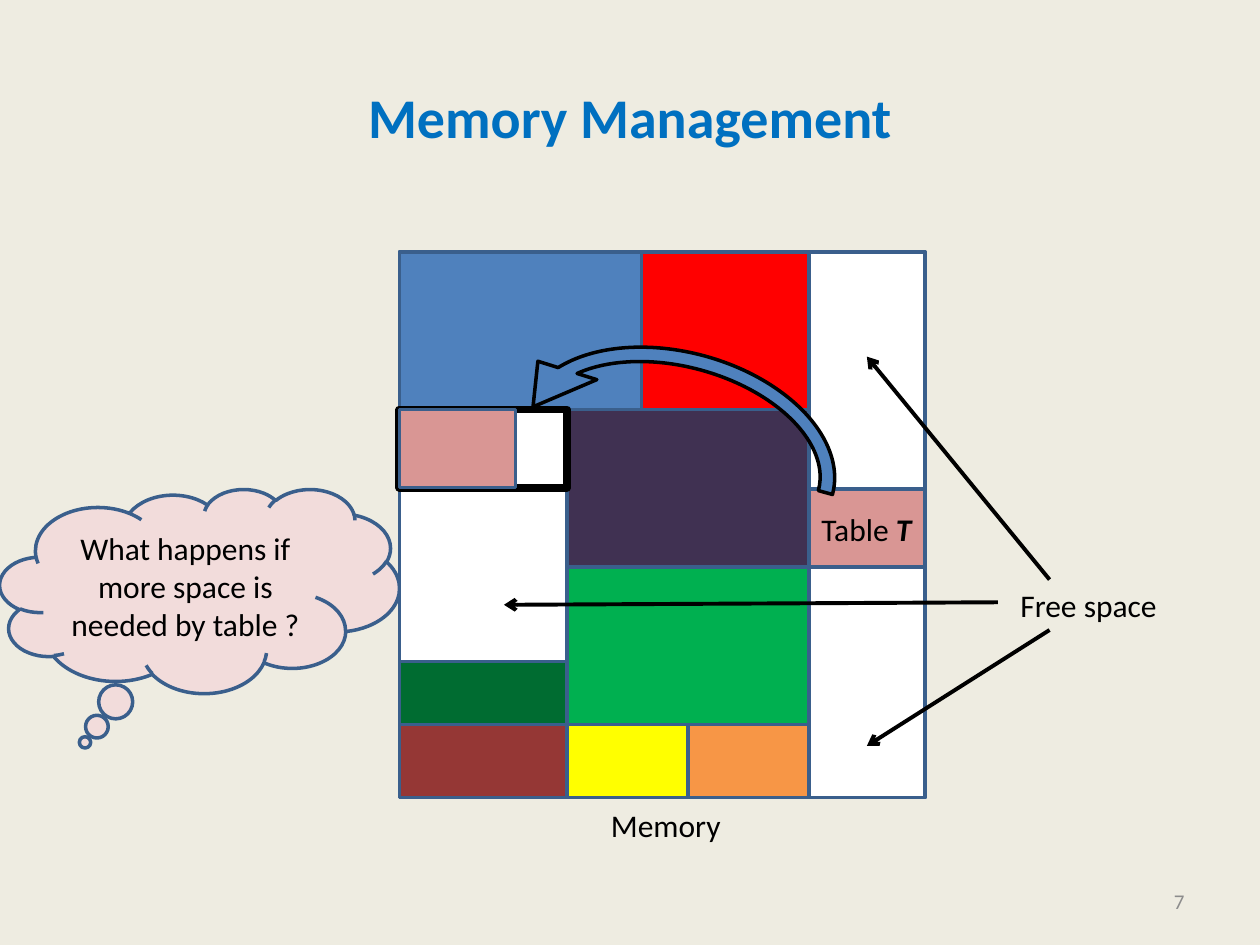
from lxml.etree import SubElement as Sub
from pptx import Presentation
from pptx.dml.color import RGBColor
from pptx.enum.shapes import MSO_CONNECTOR as Wire, MSO_SHAPE as Kind
from pptx.enum.text import MSO_ANCHOR as Anchor, PP_ALIGN as Align
from pptx.oxml.ns import qn
from pptx.util import Inches, Pt

EDGE, INK, PINK = "3A5F8C", "000000", "D99694"


def tint(part, code):
    if hasattr(part, "solid"):
        part.solid()
        part = part.fore_color
    part.rgb = RGBColor.from_string(code)


def put(item, vals):
    for name, val in vals.items():
        setattr(item, name, val)


def span(*vals):
    return [Inches(v) for v in vals]


def write(frame, runs, size=18, code=INK, align=Align.LEFT, anchor=Anchor.TOP, wrap=True):
    put(frame, {"word_wrap": wrap, "vertical_anchor": anchor})
    para = frame.paragraphs[0]
    para.alignment = align
    for text, look in runs:
        run = para.add_run()
        run.text = text
        put(run.font, {"name": "Calibri", "size": Pt(size), **look})
        tint(run.font.color, code)


def label(shapes, box, runs, **look):
    write(shapes.add_textbox(*span(*box)).text_frame, runs, **look)


def block(shapes, kind, box, fill, edge=EDGE, width=2):
    shape = shapes.add_shape(kind, *span(*box))
    shape.shadow.inherit = False
    tint(shape.fill, fill)
    tint(shape.line.fill, edge)
    shape.line.width = Pt(width)
    return shape


def adjust(shape, vals):
    for i, val in enumerate(vals):
        shape.adjustments[i] = val


def arrow(shapes, start, end):
    wire = shapes.add_connector(Wire.STRAIGHT, *span(*start, *end))
    tint(wire.line.fill, INK)
    wire.line.width = Pt(2.25)
    props = wire._element.spPr
    Sub(props.find(qn("a:ln")), qn("a:tailEnd"), type="arrow")
    Sub(props, qn("a:effectLst"))


def title(slide, box):
    head = slide.shapes.title
    put(head, dict(zip(("left", "top", "width", "height"), span(*box))))
    write(head.text_frame, [("Memory Management", {"bold": True})], size=32,
          code="0070C0", align=Align.CENTER, anchor=Anchor.MIDDLE)


def cloud(shapes, box):
    shape = block(shapes, Kind.CLOUD_CALLOUT, box, "F2DCDB")
    adjust(shape, (-0.287, 0.742))
    write(shape.text_frame, [("What happens if more space is needed by table ?", {})],
          align=Align.CENTER, anchor=Anchor.MIDDLE)


def memory(shapes, box):
    x, y, w, h = box
    a, b, c, d = 1.33, 1.92, 3.25, w
    cells = [
        (0, 0, d, h, "F79646"),
        (0, 0, b, 1.25, "4F81BD"),
        (0, 1.25, a, 3.25, "FFFFFF"),
        (b, 0, c, 1.25, "FF0000"),
        (a, 1.25, c, 2.5, "403152"),
        (a, 2.5, c, 3.75, "00B050"),
        (0, 3.75, a, h, "953735"),
        (c, 0, d, 1.88, "FFFFFF"),
        (c, 2.46, d, h, "FFFFFF"),
        (0, 3.25, a, 3.75, "006C31"),
        (c, 1.88, d, 2.5, PINK),
        (a, 3.75, 2.29, h, "FFFF00"),
    ]
    for l, t, r, e, fill in cells:
        block(shapes, Kind.RECTANGLE, (x + l, y + t, r - l, e - t), fill)
    block(shapes, Kind.RECTANGLE, (x, y + 1.25, a, 0.62), "FFFFFF", INK, 4.5)
    move = block(shapes, Kind.CIRCULAR_ARROW, (x + 0.76, y + 0.61, 2.91, 1.96),
                 "4F81BD", INK)
    adjust(move, (0.059, 11.423, 203.338, 108, 0.125))
    move.rotation = 15.3
    move._element.spPr.xfrm.set("flipH", "1")
    block(shapes, Kind.RECTANGLE, (x, y + 1.25, d - c, 0.62), PINK)
    label(shapes, (x + c, y + 2, d - c, 0.4),
          [("Table ", {}), ("T", {"bold": True, "italic": True})])
    label(shapes, (x + 1.58, y + h + 0.02, 1.09, 0.4), [("Memory", {})], wrap=False)


def free(shapes, box):
    x, y, w, h = box
    group = shapes.add_group_shape().shapes
    label(group, box, [("Free space", {})], wrap=False)
    arrow(group, (x + 0.33, y), (x - 1.12, y - 1.77))
    arrow(group, (x - 0.08, y + 0.18), (x - 4, y + 0.2))
    arrow(group, (x + 0.33, y + h), (x - 1.12, y + 1.32))


def main():
    deck = Presentation()
    put(deck, {"slide_width": Inches(10), "slide_height": Inches(7.5)})
    slide = deck.slides.add_slide(deck.slide_layouts[5])
    tint(slide.background.fill, "EEECE1")
    shapes = slide.shapes
    title(slide, (0.5, 0.3, 9, 1.25))
    label(shapes, (7.17, 6.95, 2.33, 0.4), [("7", {})], size=12, code="8C8C8C",
          align=Align.RIGHT, anchor=Anchor.MIDDLE)
    cloud(shapes, (0, 3.88, 3.17, 1.62))
    memory(shapes, (3.17, 2, 4.17, 4.33))
    free(shapes, (8, 4.6, 1.3, 0.4))
    deck.save("out.pptx")


if __name__ == "__main__":
    main()
